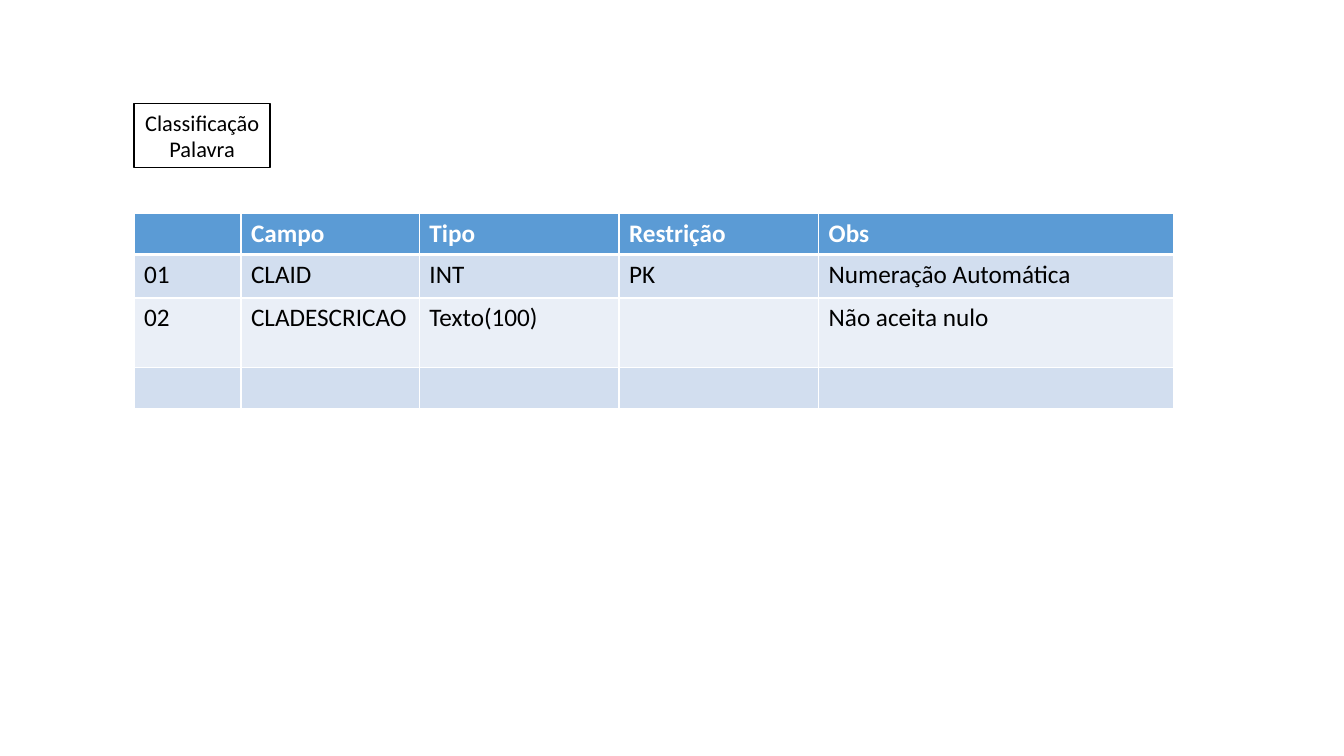
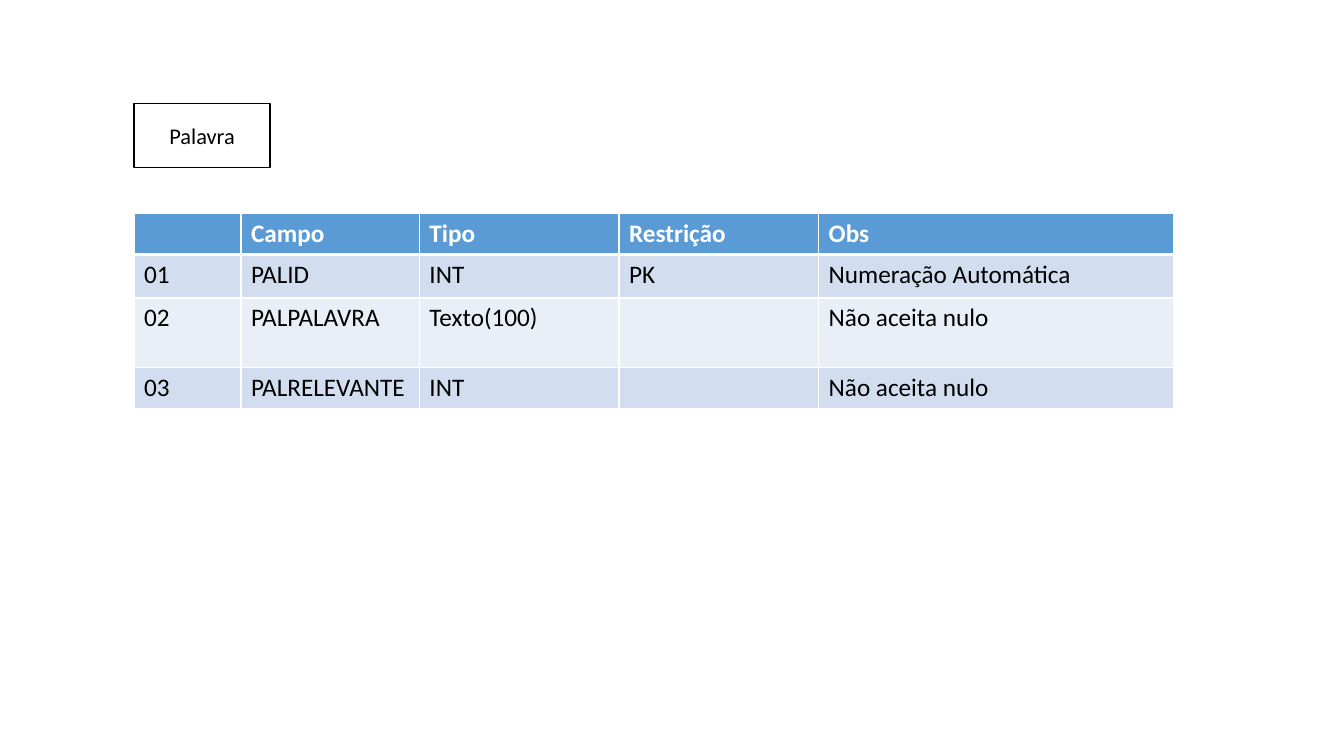
from dataclasses import dataclass

from lxml.etree import SubElement
from pptx import Presentation
from pptx.dml.color import RGBColor as RGB
from pptx.enum.shapes import MSO_SHAPE as Shape
from pptx.enum.text import MSO_ANCHOR as Anchor, PP_ALIGN as Align
from pptx.oxml.ns import qn
from pptx.util import Inches, Pt


@dataclass(frozen=True)
class Theme:
    font: str = "Calibri"
    white: str = "FFFFFF"
    black: str = "000000"
    header: str = "5B9BD5"
    bands: tuple = ("EAEFF7", "D2DEEF")
    entity_size: int = 16
    cell_size: int = 18
    thin: int = 1
    thick: int = 3


theme = Theme()

# Shared grid, in inches
LEFT, ENTITY_TOP, TABLE_TOP = 1.33, 1.03, 2.12
ENTITY_WIDTH, ENTITY_HEIGHT = 1.35, 0.63
COLUMNS = (1.06, 1.77, 1.98, 1.98, 3.52)
ROWS = (0.4, 0.43, 0.69, 0.4)

# Data dictionary: one entity per slide
HEADINGS = ("", "Campo", "Tipo", "Restrição", "Obs")
ENTITIES = {
    "Classificação Palavra": [
        ("01", "CLAID", "INT", "PK", "Numeração Automática"),
        ("02", "CLADESCRICAO", "Texto(100)", "", "Não aceita nulo"),
        ("", "", "", "", ""),
    ],
    "Palavra": [
        ("01", "PALID", "INT", "PK", "Numeração Automática"),
        ("02", "PALPALAVRA", "Texto(100)", "", "Não aceita nulo"),
        ("03", "PALRELEVANTE", "INT", "", "Não aceita nulo"),
    ],
}


def style_text(paragraph, size, color, bold=False):
    font = paragraph.font
    font.size, font.bold = Pt(size), bold
    for run in paragraph.runs:
        run.font.name, run.font.size, run.font.bold = theme.font, Pt(size), bold
        run.font.color.rgb = RGB.from_string(color)


def draw_borders(cell, top, bottom):
    properties = cell._tc.get_or_add_tcPr()
    sides = {"L": theme.thin, "R": theme.thin, "T": top, "B": bottom}
    for side, width in sides.items():
        line = SubElement(properties, qn(f"a:ln{side}"), w=str(Pt(width)))
        fill = SubElement(line, qn("a:solidFill"))
        SubElement(fill, qn("a:srgbClr"), val=theme.white)


deck = Presentation()
deck.slide_width, deck.slide_height = Inches(13.33), Inches(7.5)

for entity, fields in ENTITIES.items():
    slide = deck.slides.add_slide(deck.slide_layouts[6])

    # Field table
    dictionary = slide.shapes.add_table(
        len(ROWS), len(COLUMNS), Inches(LEFT), Inches(TABLE_TOP),
        Inches(sum(COLUMNS)), Inches(sum(ROWS))).table
    for column, width in zip(dictionary.columns, COLUMNS):
        column.width = Inches(width)
    for row, height in zip(dictionary.rows, ROWS):
        row.height = Inches(height)

    for r, texts in enumerate([HEADINGS, *fields]):
        is_header = r == 0
        band = theme.header if is_header else theme.bands[r % 2]
        ink = theme.white if is_header else theme.black
        for c, text in enumerate(texts):
            cell = dictionary.cell(r, c)
            draw_borders(cell,
                         top=theme.thick if r == 1 else theme.thin,
                         bottom=theme.thick if is_header else theme.thin)
            cell.fill.solid()
            cell.fill.fore_color.rgb = RGB.from_string(band)
            cell.text_frame.text = text
            style_text(cell.text_frame.paragraphs[0], theme.cell_size, ink, is_header)

    # Entity name box
    entity_box = slide.shapes.add_shape(
        Shape.RECTANGLE, Inches(LEFT), Inches(ENTITY_TOP),
        Inches(ENTITY_WIDTH), Inches(ENTITY_HEIGHT))
    entity_box.shadow.inherit = False
    entity_box.fill.solid()
    entity_box.fill.fore_color.rgb = RGB.from_string(theme.white)
    entity_box.line.color.rgb = RGB.from_string(theme.black)
    entity_box.line.width = Pt(theme.thin)
    frame = entity_box.text_frame
    frame.word_wrap, frame.vertical_anchor = True, Anchor.MIDDLE
    frame.text = entity
    frame.paragraphs[0].alignment = Align.CENTER
    style_text(frame.paragraphs[0], theme.entity_size, theme.black)

deck.save("out.pptx")
